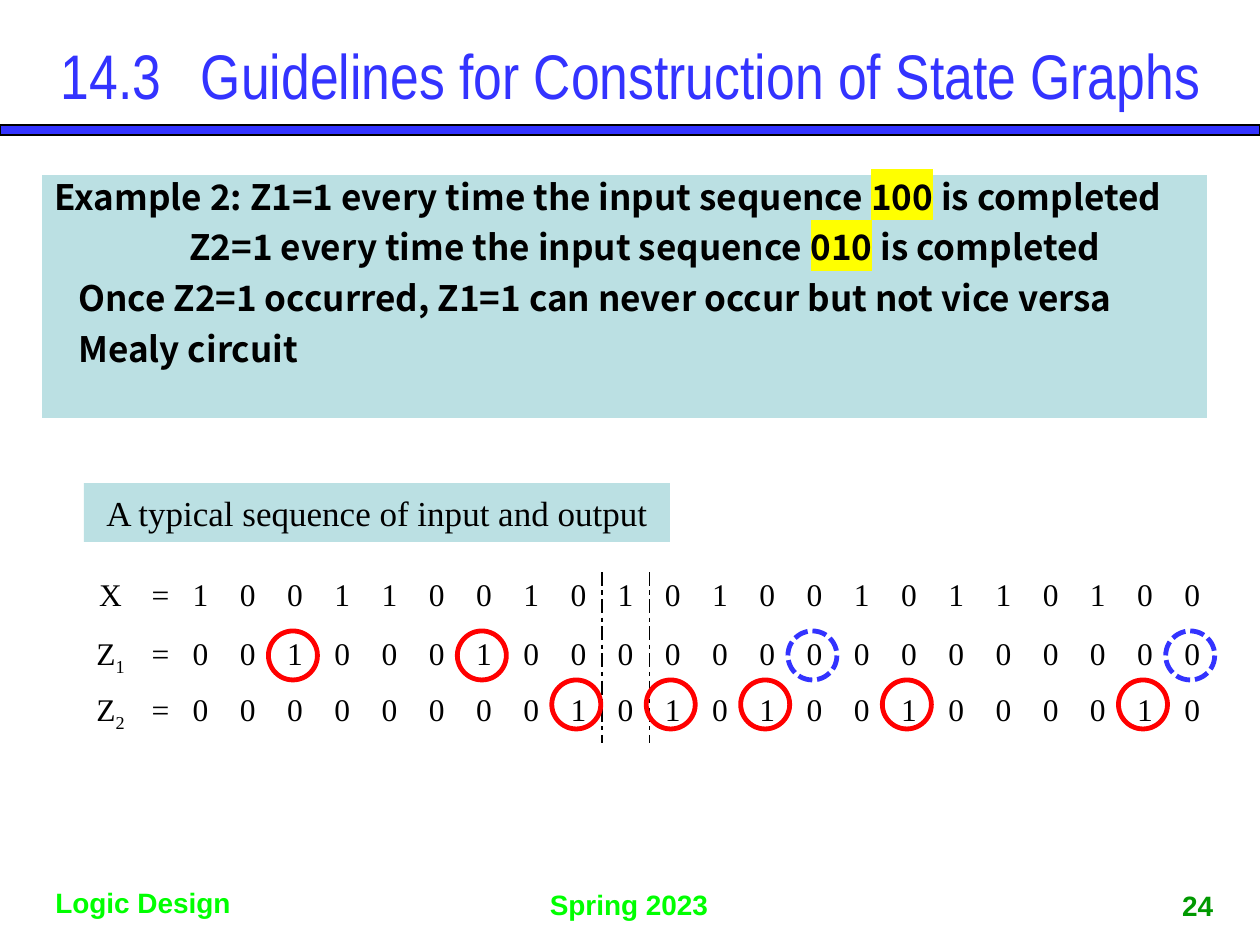
import pptx
import pptx.util
import pptx.dml.color
import pptx.enum.text
import pptx.enum.shapes
import pptx.enum.dml
import pptx.oxml
import lxml.etree
from pptx.oxml.ns import qn

ALIGN = pptx.enum.text.PP_ALIGN
ANCHOR = pptx.enum.text.MSO_ANCHOR
SHAPE = pptx.enum.shapes.MSO_SHAPE
DASH = pptx.enum.dml.MSO_LINE

THEME = {
    "blue": "3333FF", "panel": "BBE0E3", "black": "000000", "red": "FF0000",
    "green": "00FF00", "dark_green": "009900", "highlight": "FFFF00",
    "title_font": "Arial Narrow", "footer_font": "Arial",
    "example_font": "Noto Sans CJK KR", "table_font": "Times New Roman",
    "title_size": 36, "body_size": 20, "table_size": 18, "footer_size": 16,
}

TITLE = "14.3\t Guidelines for Construction of State Graphs"
EXAMPLE = [
    (0, [("Example 2: Z1=1 every time the input sequence ", ""), ("100", "highlight"),
         (" is completed", "")]),
    (135, [("Z2=1 every time the input sequence ", ""), ("010", "highlight"),
           (" is completed", "")]),
    (24, [("Once Z2=1 occurred, Z1=1 can never occur but not vice versa", "")]),
    (24, [("Mealy circuit", "")]),
]
CAPTION = "A typical sequence of input and output"
SIGNALS = [
    ([("X", "")], "1001100101010010110100"),
    ([("Z", ""), ("1", "subscript")], "0010001000000000000000"),
    ([("Z", ""), ("2", "subscript")], "0000000010101001000010"),
]
CIRCLED_ROWS = {1: 631, 2: 680}
BLOCKED = {1: (13, 21)}
DIVIDER_AFTER = 9
FOOTERS = [
    ("Logic Design", (34, 879, 218, 47), "green", ANCHOR.TOP),
    ("Spring 2023", (529, 881, 200, 47), "green", ANCHOR.TOP),
    ("24", (1150, 869, 95, 59), "dark_green", ANCHOR.BOTTOM),
]
TABLE_LEFT, TABLE_TOP, TABLE_WIDTH = 82, 572, 1134
LABEL_WIDTHS = [57, 38]
ROW_HEIGHTS = [59, 56, 56]
CIRCLE_SIZE, CIRCLE_LEFT = 49, 174
NO_TABLE_STYLE = "{2D5ABB26-0587-4C30-8999-92F81FD0307C}"


def px(value):
    return pptx.util.Emu(round(value * 914400 / 126))


def color(name):
    return pptx.dml.color.RGBColor.from_string(THEME[name])


def write(frame, paragraphs, font="table", size="body", ink="black", bold=False,
          align=ALIGN.CENTER, anchor=ANCHOR.TOP, wrap=True, space=0):
    frame.word_wrap = wrap
    frame.vertical_anchor = anchor
    for number, (indent, runs) in enumerate(paragraphs):
        paragraph = frame.add_paragraph() if number else frame.paragraphs[0]
        paragraph.alignment = align
        if indent:
            paragraph._p.get_or_add_pPr().set("marL", str(px(indent)))
        if number:
            paragraph.space_before = pptx.util.Pt(space)
        for text, mark in runs:
            run = paragraph.add_run()
            run.text = text
            run.font.name = THEME[font + "_font"]
            run.font.size = pptx.util.Pt(THEME[size + "_size"])
            run.font.bold = bold
            run.font.color.rgb = color(ink)
            properties = run._r.get_or_add_rPr()
            if mark == "subscript":
                properties.set("baseline", "-25000")
            if mark == "highlight":
                highlight = lxml.etree.Element(qn("a:highlight"))
                lxml.etree.SubElement(highlight, qn("a:srgbClr"), val=THEME["highlight"])
                properties.find(qn("a:solidFill")).addnext(highlight)
            if font == "example":
                east_asian = lxml.etree.Element(qn("a:ea"), typeface=THEME["example_font"])
                properties.find(qn("a:latin")).addnext(east_asian)


def add_shape(slide, kind, box, fill=None, line=None, width=0.75, dash=None):
    shape = slide.shapes.add_shape(kind, *map(px, box))
    shape.shadow.inherit = False
    if fill:
        shape.fill.solid()
        shape.fill.fore_color.rgb = color(fill)
    else:
        shape.fill.background()
    if line:
        shape.line.color.rgb = color(line)
        shape.line.width = pptx.util.Pt(width)
        if dash:
            shape.line.dash_style = dash
    else:
        shape.line.fill.background()
    return shape


def add_border(cell, side):
    border = lxml.etree.Element(qn("a:" + side), w=str(pptx.util.Pt(1)))
    fill = lxml.etree.SubElement(border, qn("a:solidFill"))
    lxml.etree.SubElement(fill, qn("a:srgbClr"), val=THEME["black"])
    lxml.etree.SubElement(border, qn("a:prstDash"), val="lgDashDot")
    cell._tc.get_or_add_tcPr().insert(0, border)


def add_signal_table(slide, pitch):
    steps = len(SIGNALS[0][1])
    graphic = slide.shapes.add_table(
        len(SIGNALS), steps + 2, px(TABLE_LEFT), px(TABLE_TOP),
        px(TABLE_WIDTH), px(sum(ROW_HEIGHTS)))
    table = graphic.table
    table.first_row = table.horz_banding = False
    table._tbl.tblPr.find(qn("a:tableStyleId")).text = NO_TABLE_STYLE
    for column, width in zip(table.columns, LABEL_WIDTHS + [pitch] * steps):
        column.width = px(width)
    for row, (label, values) in enumerate(SIGNALS):
        table.rows[row].height = px(ROW_HEIGHTS[row])
        contents = [label, [("=", "")]] + [[(value, "")] for value in values]
        for column, runs in enumerate(contents):
            cell = table.cell(row, column)
            cell.fill.background()
            write(cell.text_frame, [(0, runs)], size="table")
        add_border(table.cell(row, DIVIDER_AFTER + 1), "lnR")
        add_border(table.cell(row, DIVIDER_AFTER + 2), "lnL")


def add_circles(slide, pitch):
    for row, top in CIRCLED_ROWS.items():
        for step, value in enumerate(SIGNALS[row][1]):
            blocked = step in BLOCKED.get(row, ())
            if value == "1" or blocked:
                add_shape(slide, SHAPE.OVAL,
                          (CIRCLE_LEFT + step * pitch, top, CIRCLE_SIZE, CIRCLE_SIZE),
                          line="blue" if blocked else "red", width=2.75,
                          dash=DASH.SQUARE_DOT if blocked else None)


def main():
    presentation = pptx.Presentation()
    presentation.slide_width, presentation.slide_height = px(1260), px(945)
    slide = presentation.slides.add_slide(presentation.slide_layouts[5])

    add_shape(slide, SHAPE.RECTANGLE, (0, 125, 1260, 10), fill="blue", line="black")
    for text, box, ink, anchor in FOOTERS:
        footer = slide.shapes.add_textbox(*map(px, box))
        write(footer.text_frame, [(0, [(text, "")])], font="footer", size="footer",
              ink=ink, bold=True, anchor=anchor)

    title = slide.shapes.title
    title.left, title.top, title.width, title.height = map(px, (25, 35, 1211, 79))
    write(title.text_frame, [(0, [(TITLE, "")])], font="title", size="title",
          ink="blue", anchor=ANCHOR.MIDDLE)

    example = add_shape(slide, SHAPE.RECTANGLE, (42, 175, 1165, 243), fill="panel")
    example.text_frame.margin_top = 0
    write(example.text_frame, EXAMPLE, font="example", bold=True,
          align=ALIGN.LEFT, space=5)

    pitch = (TABLE_WIDTH - sum(LABEL_WIDTHS)) / len(SIGNALS[0][1])
    add_signal_table(slide, pitch)
    caption = add_shape(slide, SHAPE.RECTANGLE, (84, 483, 586, 59), fill="panel")
    write(caption.text_frame, [(0, [(CAPTION, "")])], anchor=ANCHOR.MIDDLE, wrap=False)
    add_circles(slide, pitch)

    presentation.save("out.pptx")


if __name__ == "__main__":
    main()
